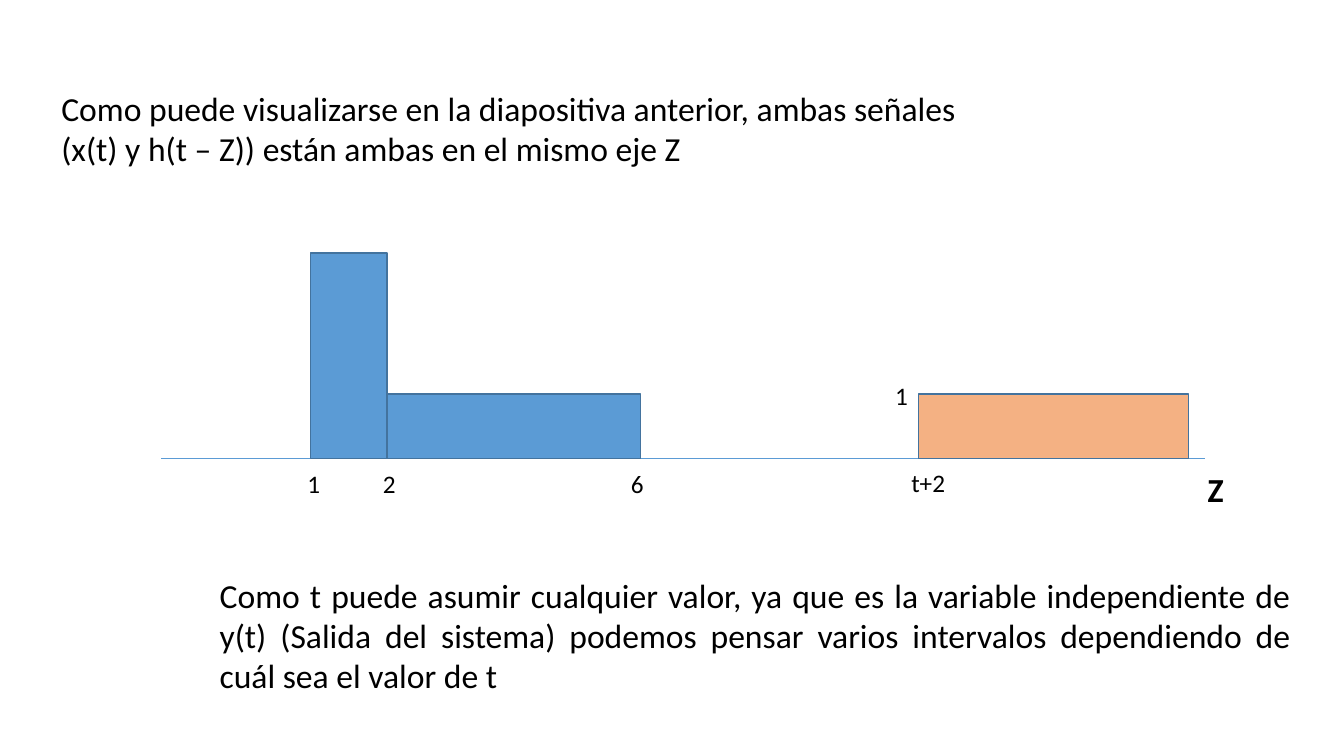
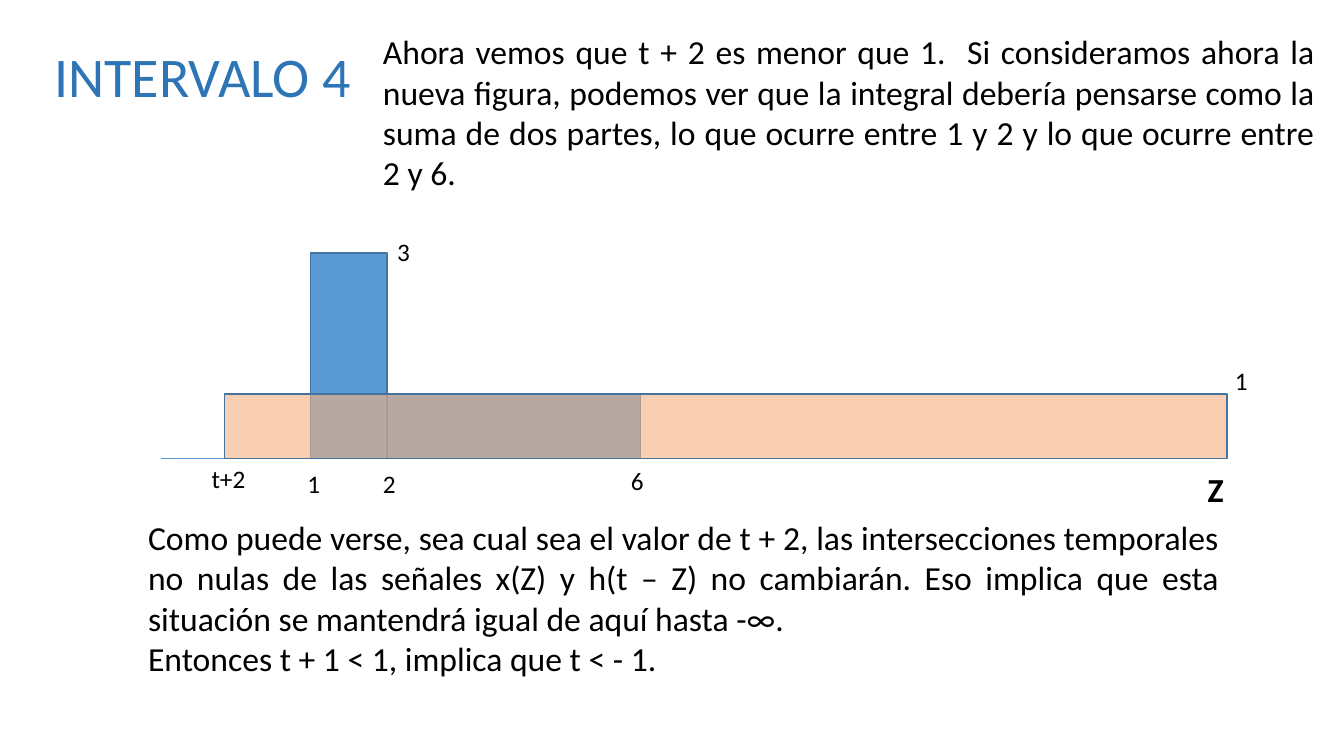
"""Two slides on convolution: a signal and a shifted pulse drawn on the Z axis."""
from lxml.etree import SubElement
from pptx import Presentation
from pptx.dml.color import RGBColor
from pptx.enum.shapes import MSO_CONNECTOR, MSO_SHAPE
from pptx.enum.text import MSO_ANCHOR, MSO_AUTO_SIZE, PP_ALIGN
from pptx.oxml.ns import qn
from pptx.util import Pt

PX = 9144
AXIS_Y, PULSE_H = 455, 64
BLUE, EDGE, ORANGE, TITLE, BLACK = "5B9BD5", "43739E", "F4B183", "2E75B6", "000000"
LABEL = {"size": Pt(18), "bold": False}
BODY = {"size": Pt(24), "bold": False}
AXIS = {"size": Pt(24), "bold": True}
HEAD = {"size": Pt(40), "bold": False}


def write(sp, box, text, fmt, color=BLACK, align=PP_ALIGN.LEFT):
    sp.left, sp.top, sp.width, sp.height = [v * PX for v in box]
    tf = sp.text_frame
    for name, value in {"word_wrap": True, "auto_size": MSO_AUTO_SIZE.NONE,
                        "vertical_anchor": MSO_ANCHOR.TOP}.items():
        setattr(tf, name, value)
    for i, line in enumerate(text.split("\n")):
        p = tf.add_paragraph() if i else tf.paragraphs[0]
        p.alignment = align
        r = p.add_run()
        r.text = line
        for name, value in {"name": "Calibri", **fmt}.items():
            setattr(r.font, name, value)
        r.font.color.rgb = RGBColor.from_string(color)


def bar(shapes, x, w, h, color, alpha=100):
    sp = shapes.add_shape(MSO_SHAPE.RECTANGLE, x * PX, (AXIS_Y - h) * PX, w * PX, h * PX)
    sp.shadow.inherit = False
    sp.fill.solid()
    sp.fill.fore_color.rgb = RGBColor.from_string(color)
    sp.line.color.rgb = RGBColor.from_string(EDGE)
    sp.line.width = Pt(1)
    if alpha < 100:
        clr = sp.fill._xPr.find(qn("a:solidFill"))[0]
        SubElement(clr, qn("a:alpha")).set("val", str(alpha * 1000))


slides = [
    {"layout": 6, "pulse": (911, 268, 100),
     "labels": [("6", 616, 460), ("1", 878, 372), ("t+2", 894, 459)],
     "texts": [
         ((51, 82, 1082, 91),
          "Como puede visualizarse en la diapositiva anterior, ambas señales \n"
          "(x(t) y h(t – Z)) están ambas en el mismo eje Z"),
         ((208, 565, 1082, 131),
          "Como t puede asumir cualquier valor, ya que es la variable independiente de "
          "y(t) (Salida del sistema) podemos pensar varios intervalos dependiendo de "
          "cuál sea el valor de t")]},
    {"layout": 5, "title": "INTERVALO 4", "pulse": (223, 994, 61),
     "labels": [("6", 616, 457), ("1", 1215, 358), ("t+2", 200, 455), ("3", 384, 230)],
     "texts": [
         ((370, 26, 944, 172),
          "Ahora vemos que t + 2 es menor que 1.  Si consideramos ahora la nueva figura, "
          "podemos ver que la integral debería pensarse como la suma de dos partes, "
          "lo que ocurre entre 1 y 2 y lo que ocurre entre 2 y 6."),
         ((137, 508, 1082, 172),
          "Como puede verse, sea cual sea el valor de t + 2, las intersecciones temporales "
          "no nulas de las señales x(Z) y h(t – Z) no cambiarán. Eso implica que esta "
          "situación se mantendrá igual de aquí hasta -∞.\n"
          "Entonces t + 1 < 1, implica que t < - 1.")]},
]

prs = Presentation()
prs.slide_width, prs.slide_height = 1333 * PX, 750 * PX

for data in slides:
    s = prs.slides.add_slide(prs.slide_layouts[data["layout"]])
    if "title" in data:
        write(s.shapes.title, (44, 36, 340, 77), data["title"], HEAD, TITLE)

    axis = s.shapes.add_connector(MSO_CONNECTOR.STRAIGHT, 160 * PX, AXIS_Y * PX,
                                  1195 * PX, AXIS_Y * PX)
    axis.line.color.rgb = RGBColor.from_string(BLUE)
    axis.line.width = Pt(0.5)
    SubElement(axis._element.spPr, qn("a:effectLst"))

    signal = s.shapes.add_group_shape()
    bar(signal.shapes, 308, 76, 204, BLUE)
    bar(signal.shapes, 384, 251, PULSE_H, BLUE)
    x, w, alpha = data["pulse"]
    bar(s.shapes, x, w, PULSE_H, ORANGE, alpha)

    for text, x, y in [("1", 295, 460), ("2", 370, 460)] + data["labels"]:
        write(s.shapes.add_textbox(0, 0, 0, 0), (x, y, 58, 40), text, LABEL)
    write(s.shapes.add_textbox(0, 0, 0, 0), (1188, 460, 58, 50), "Z", AXIS)
    for box, text in data["texts"]:
        write(s.shapes.add_textbox(0, 0, 0, 0), box, text, BODY, align=PP_ALIGN.JUSTIFY)

prs.save("out.pptx")
